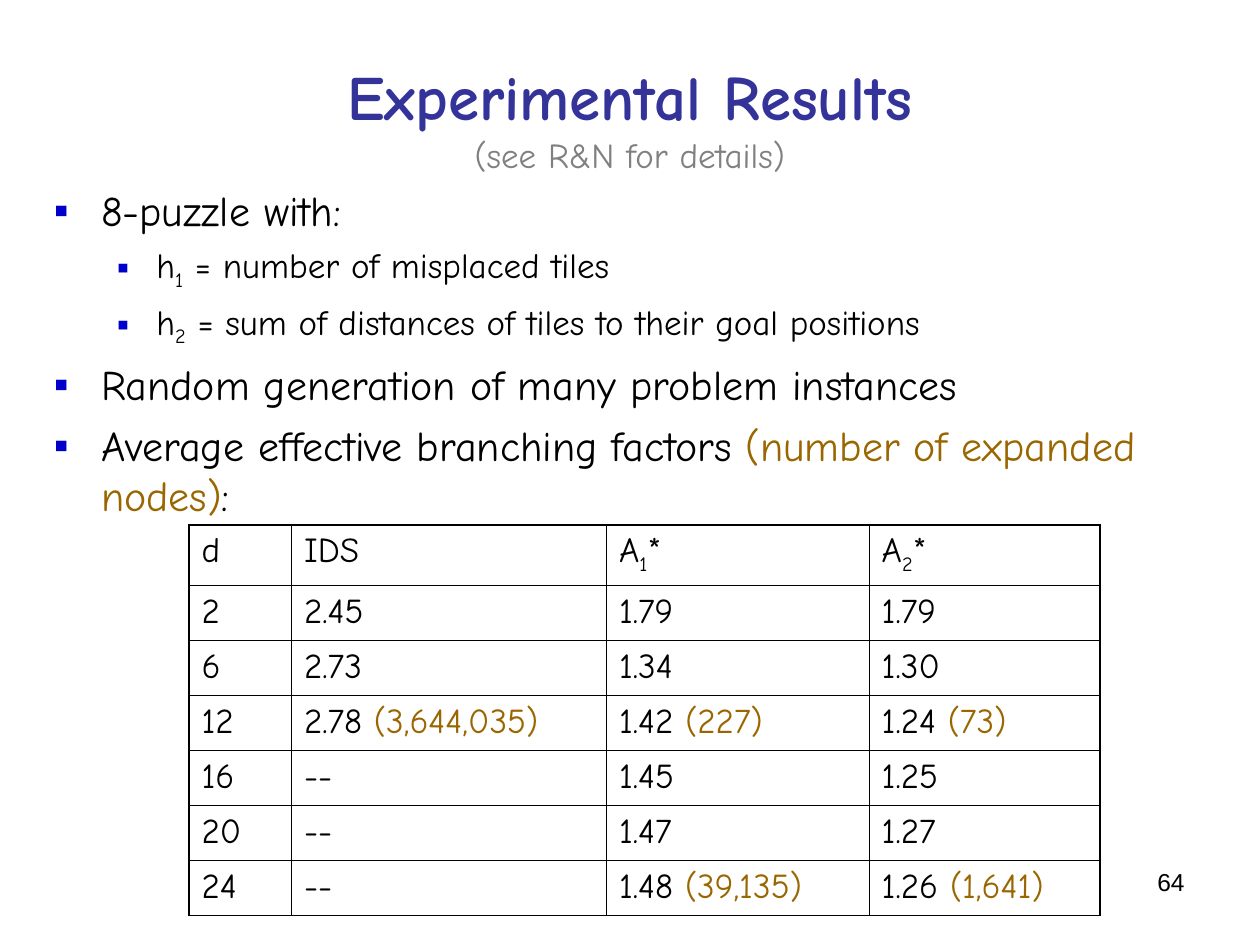
import lxml.etree
import pptx
import pptx.dml.color
import pptx.enum.text
import pptx.oxml.ns
import pptx.util

Pt = pptx.util.Pt
Align = pptx.enum.text.PP_ALIGN

theme = {
    "font": "Comic Neue", "plain_font": "Arial",
    "title": "333399", "subtitle": "808080", "ink": "000000",
    "accent": "996600", "bullet": "0000CC",
    "title_size": 36, "body_size": 24, "small_size": 20, "number_size": 14,
    "outer_line": 1.08, "inner_line": 0.45,
}

deck = pptx.Presentation()
deck.slide_width = pptx.util.Inches(10)
deck.slide_height = pptx.util.Inches(7.5)
column = deck.slide_width / 100
row = deck.slide_height / 75
page = deck.slides.add_slide(deck.slide_layouts[6])


def style(span, size, color, font=theme["font"]):
    span.font.name = font
    span.font.size = Pt(size)
    span.font.color.rgb = pptx.dml.color.RGBColor.from_string(color)


def write(para, marked_text, size):
    for index, piece in enumerate(marked_text.split("|")):
        span = para.add_run()
        span.text = piece
        marked = index % 2 == 1
        noted = marked and piece.startswith("(")
        style(span, size, theme["accent" if noted else "ink"])
        if marked and not noted:
            span.font._element.set("baseline", "-25000")


frames = []
for left, top, width, height in [
    (5, 3, 90, 12.5),
    (3.3, 14.15, 93.3, 49.5),
    (71.7, 68.3, 23.3, 5.2),
]:
    box = page.shapes.add_textbox(
        int(left * column), int(top * row), int(width * column), int(height * row))
    box.text_frame.word_wrap = True
    frames.append(box.text_frame)
title_frame, body_frame, number_frame = frames

title_frame.vertical_anchor = pptx.enum.text.MSO_ANCHOR.MIDDLE
para = title_frame.paragraphs[0]
para.text = "Experimental Results\v(see R&N for details)"
para.alignment = Align.CENTER
heading, subtitle = para.runs
style(heading, theme["title_size"], theme["title"])
heading.font.bold = True
style(subtitle, theme["small_size"], theme["subtitle"])

bullets = [
    (0, "8-puzzle with:"),
    (1, "h|1| = number of misplaced tiles"),
    (1, "h|2| = sum of distances of tiles to their goal positions"),
    (0, "Random generation of many problem instances"),
    (0, "Average effective branching factors |(number of expanded nodes)|:"),
]
levels = [
    {"size": theme["body_size"], "margin": 3.75, "hang": 3.75, "before": 6},
    {"size": theme["small_size"], "margin": 8.13, "hang": 3.13, "before": 5},
]
for index, (depth, text) in enumerate(bullets):
    level = levels[depth]
    para = body_frame.paragraphs[0] if index == 0 else body_frame.add_paragraph()
    para.level = depth
    if index:
        para.space_before = Pt(level["before"])
    properties = para._p.get_or_add_pPr()
    properties.set("marL", str(int(level["margin"] * column)))
    properties.set("indent", str(int(-level["hang"] * column)))
    bullet_color = lxml.etree.SubElement(properties, pptx.oxml.ns.qn("a:buClr"))
    lxml.etree.SubElement(bullet_color, pptx.oxml.ns.qn("a:srgbClr"), val=theme["bullet"])
    lxml.etree.SubElement(
        properties, pptx.oxml.ns.qn("a:buFont"), typeface=theme["plain_font"])
    lxml.etree.SubElement(properties, pptx.oxml.ns.qn("a:buChar"), char="▪")
    write(para, text, level["size"])

results = [
    ["d", "IDS", "A|1|*", "A|2|*"],
    ["2", "2.45", "1.79", "1.79"],
    ["6", "2.73", "1.34", "1.30"],
    ["12", "2.78 |(3,644,035)", "1.42 |(227)", "1.24 |(73)"],
    ["16", "--", "1.45", "1.25"],
    ["20", "--", "1.47", "1.27"],
    ["24", "--", "1.48 |(39,135)", "1.26 |(1,641)"],
]
widths = [8.13, 25, 20.85, 18.3]
heights = [4.8] + [4.37] * (len(results) - 1)
table = page.shapes.add_table(
    len(results), len(widths), int(15 * column), int(41.65 * row),
    int(sum(widths) * column), int(sum(heights) * row)).table
table.first_row = False
table.horz_banding = False
for index, width in enumerate(widths):
    table.columns[index].width = int(width * column)
for index, height in enumerate(heights):
    table.rows[index].height = int(height * row)

for down, values in enumerate(results):
    for across, text in enumerate(values):
        cell = table.cell(down, across)
        write(cell.text_frame.paragraphs[0], text, theme["small_size"])
        outer_edges = {
            "L": across == 0, "R": across == len(widths) - 1,
            "T": down == 0, "B": down == len(results) - 1,
        }
        properties = cell._tc.get_or_add_tcPr()
        for side, outer in outer_edges.items():
            weight = Pt(theme["outer_line" if outer else "inner_line"])
            border = lxml.etree.SubElement(
                properties, pptx.oxml.ns.qn("a:ln" + side), w=str(int(weight)))
            paint = lxml.etree.SubElement(border, pptx.oxml.ns.qn("a:solidFill"))
            lxml.etree.SubElement(paint, pptx.oxml.ns.qn("a:srgbClr"), val=theme["ink"])
        cell.fill.background()

para = number_frame.paragraphs[0]
para.text = "64"
para.alignment = Align.RIGHT
style(para.runs[0], theme["number_size"], theme["ink"], theme["plain_font"])

deck.save("out.pptx")
